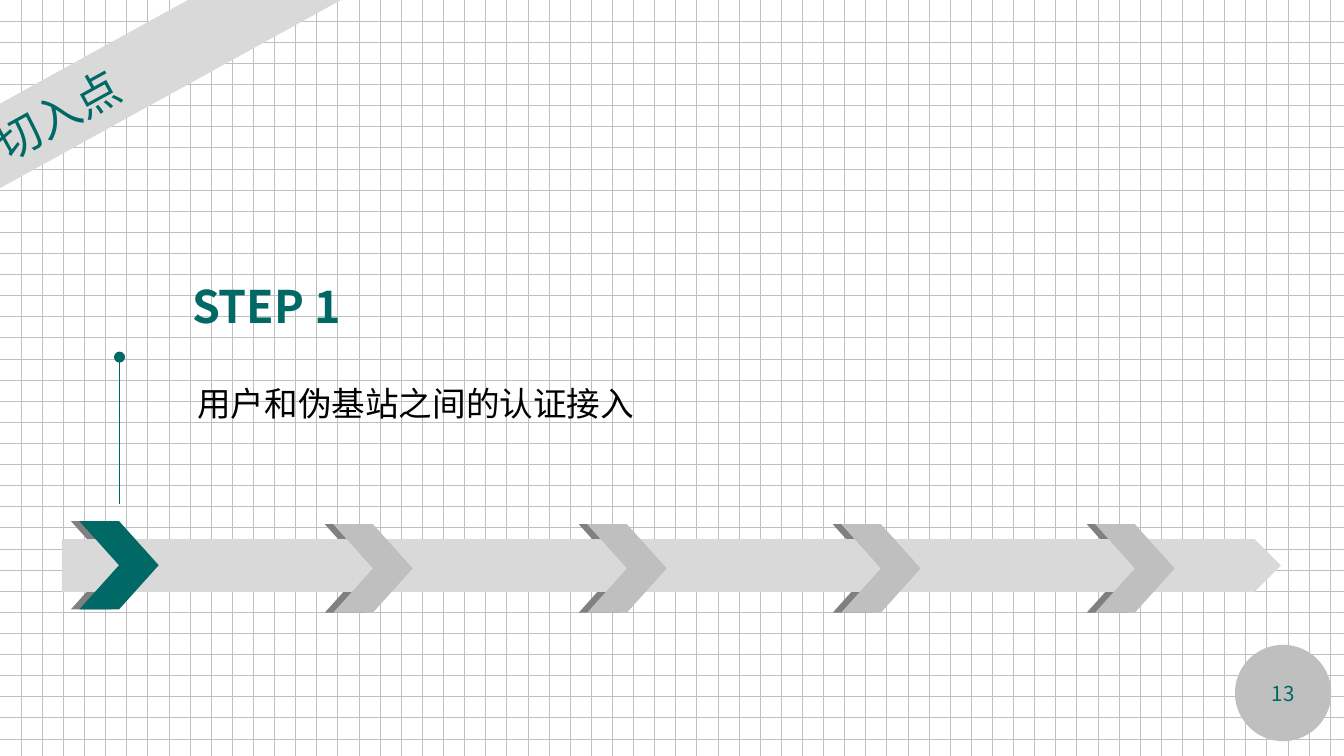
from lxml import etree
from pptx import Presentation
from pptx.dml.color import RGBColor
from pptx.enum.dml import MSO_PATTERN
from pptx.enum.shapes import MSO_CONNECTOR, MSO_SHAPE as SHAPE
from pptx.enum.text import MSO_ANCHOR as ANCHOR, MSO_AUTO_SIZE, PP_ALIGN as ALIGN
from pptx.oxml.ns import qn
from pptx.util import Cm, Pt

# Content
TITLE = "切入点"
STEP = "STEP 1"
STEP_TEXT = "用户和伪基站之间的认证接入"
PAGE = "13"
STEP_COUNT, ACTIVE_STEP = 5, 0

# Style
TEAL = RGBColor(0x00, 0x68, 0x65)
SILVER = RGBColor(0xBF, 0xBF, 0xBF)
PALE = RGBColor(0xD9, 0xD9, 0xD9)
GRAY = RGBColor(0x80, 0x80, 0x80)
BLACK = RGBColor(0, 0, 0)
WHITE = RGBColor(0xFF, 0xFF, 0xFF)
CJK, LATIN = "Noto Sans CJK SC", "Calibri"

# Timeline geometry in cm
FIRST_X, STEP_GAP, SHADOW_SHIFT = 1.5, 4.8, 0.16
ARROW_W, ARROW_H = 1.5, 1.67
ACTIVE_Y, ARROW_Y = 9.85, 9.91


def add_shape(s, kind, x, y, w, h, color):
    sp = s.shapes.add_shape(kind, Cm(x), Cm(y), Cm(w), Cm(h))
    sp.shadow.inherit = False
    sp.fill.solid()
    sp.fill.fore_color.rgb = color
    sp.line.fill.background()
    return sp


def set_text(tf, text, size, color, font=CJK, bold=False, align=ALIGN.LEFT):
    tf.word_wrap = True
    p = tf.paragraphs[0]
    r = p.add_run()
    r.text = text
    p.alignment = align
    r.font.size, r.font.bold, r.font.name = Pt(size), bold, font
    r.font.color.rgb = color
    etree.SubElement(r.font._element, qn("a:ea"), typeface=CJK)


def add_text(s, x, y, w, h, text, size, color, **style):
    tf = s.shapes.add_textbox(Cm(x), Cm(y), Cm(w), Cm(h)).text_frame
    tf.margin_top = 0
    set_text(tf, text, size, color, **style)


def add_step_arrows(s, dx, color, active_color):
    for i in range(STEP_COUNT):
        active = i == ACTIVE_STEP
        add_shape(s, SHAPE.CHEVRON, FIRST_X + i * STEP_GAP + dx,
                  ACTIVE_Y if active else ARROW_Y, ARROW_W, ARROW_H,
                  active_color if active else color)


prs = Presentation()
prs.slide_width, prs.slide_height = Cm(25.4), Cm(14.29)
s = prs.slides.add_slide(prs.slide_layouts[5])

# Grid background
fill = s.background.fill
fill.patterned()
fill.pattern = MSO_PATTERN.DOTTED_GRID
fill.fore_color.rgb, fill.back_color.rgb = SILVER, WHITE

# Slanted title banner
title = s.shapes.title
title.left, title.top, title.width, title.height = Cm(-2.41), Cm(0.48), Cm(10.54), Cm(1.4)
title.rotation = 331.1
title.fill.solid()
title.fill.fore_color.rgb = PALE
tf = title.text_frame
tf.auto_size = MSO_AUTO_SIZE.NONE
tf.vertical_anchor = ANCHOR.MIDDLE
tf.margin_left = Cm(1.97)
set_text(tf, TITLE, 24, TEAL)

# Timeline: arrow shadows, bar, arrows
add_step_arrows(s, -SHADOW_SHIFT, GRAY, GRAY)
add_shape(s, SHAPE.PENTAGON, 1.17, 10.19, 23.04, 1, PALE)
add_step_arrows(s, 0, SILVER, TEAL)

# Pin above the active step
pin = s.shapes.add_connector(MSO_CONNECTOR.STRAIGHT, Cm(2.26), Cm(6.75), Cm(2.26), Cm(9.52))
pin.line.color.rgb = TEAL
pin.line.width = Pt(1)
etree.SubElement(pin.line._get_or_add_ln(), qn("a:headEnd"), type="oval")
etree.SubElement(pin._element.spPr, qn("a:effectLst"))

# Step heading and description
add_text(s, 3.38, 5.26, 3.84, 1.27, STEP, 24, TEAL, bold=True)
add_text(s, 3.48, 7.24, 9.22, 1.8, STEP_TEXT, 18, BLACK, font=LATIN)

# Page number
badge = add_shape(s, SHAPE.OVAL, 23.34, 12.19, 1.82, 1.82, SILVER)
badge.text_frame.vertical_anchor = ANCHOR.MIDDLE
set_text(badge.text_frame, PAGE, 11, TEAL, align=ALIGN.CENTER)

prs.save("out.pptx")
